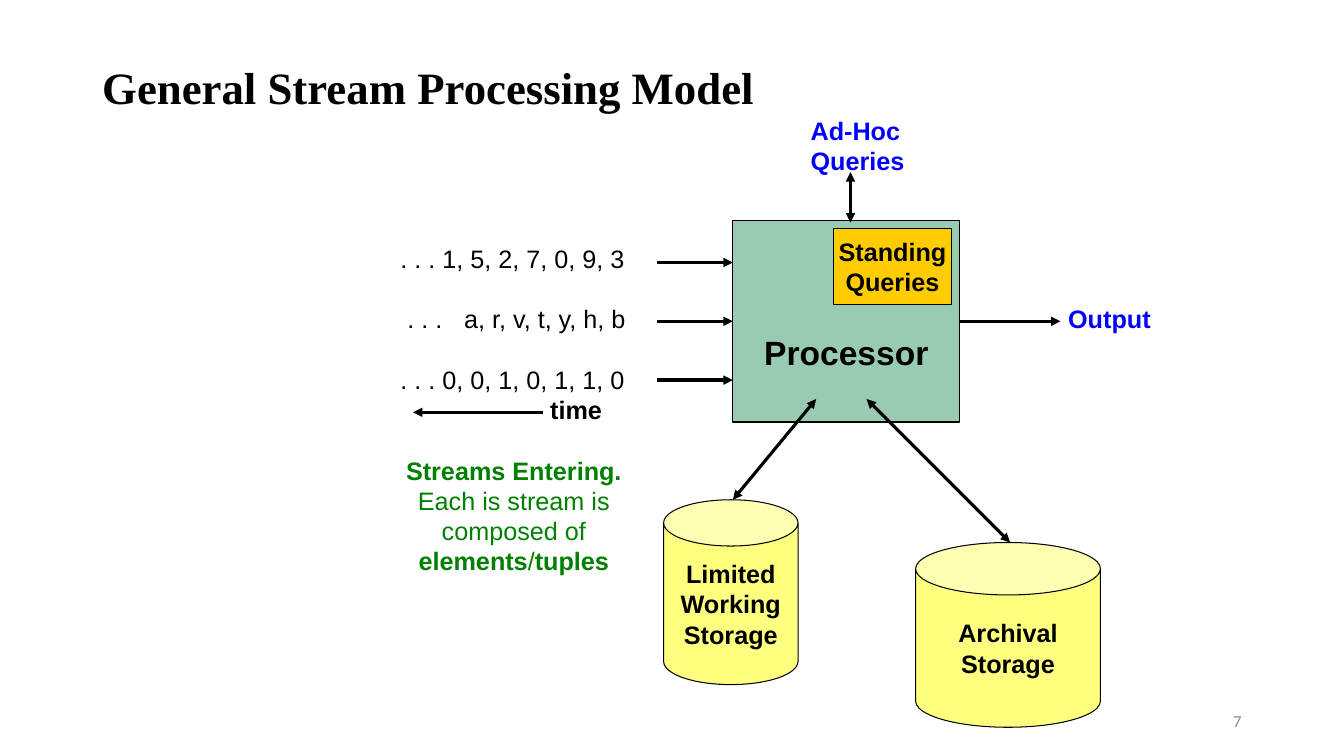
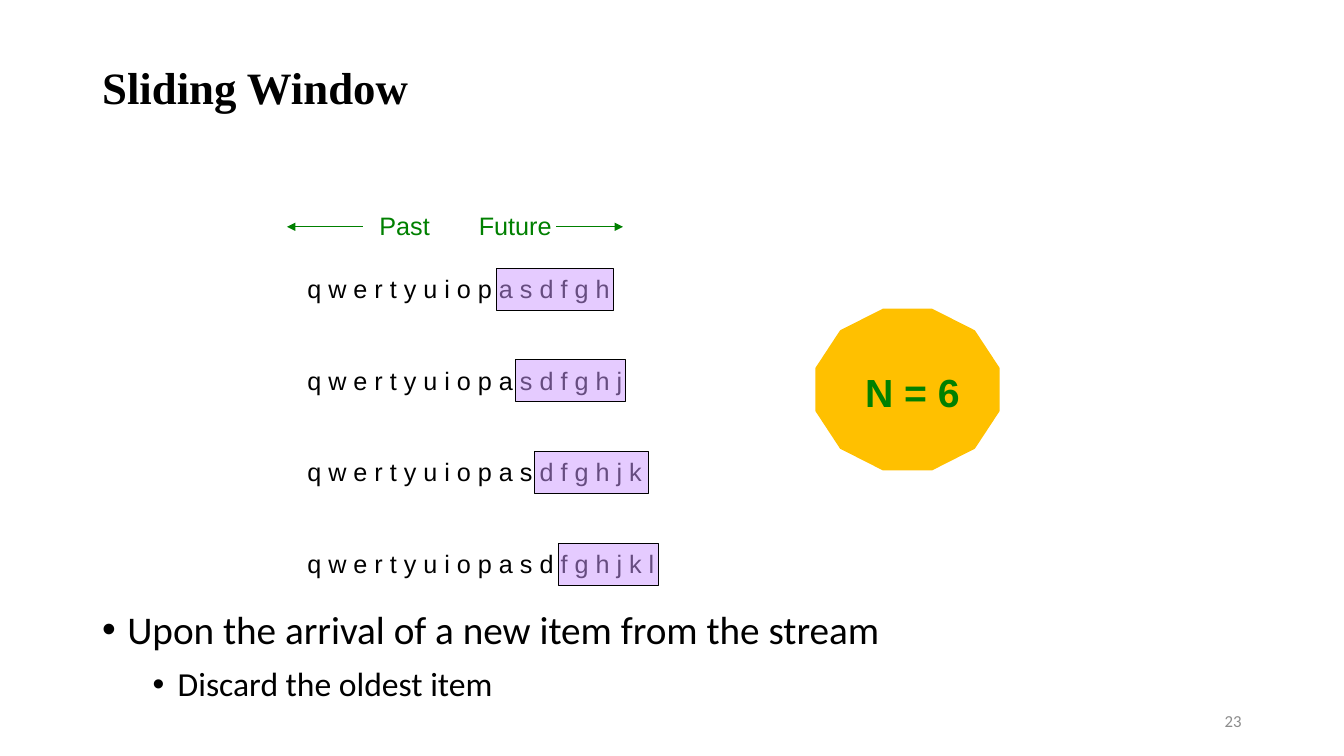
"""Build two slides on stream processing: the general model and the sliding window."""
from lxml.etree import SubElement
from pptx import Presentation
from pptx.dml.color import RGBColor
from pptx.enum.shapes import MSO_CONNECTOR, MSO_SHAPE
from pptx.enum.text import MSO_ANCHOR, PP_ALIGN
from pptx.oxml.ns import qn
from pptx.util import Pt

BLACK = RGBColor(0x00, 0x00, 0x00)
BLUE = RGBColor(0x00, 0x00, 0xFF)
GREEN = RGBColor(0x00, 0x80, 0x00)
TEAL = RGBColor(0x33, 0x99, 0x66)
YELLOW = RGBColor(0xFF, 0xFF, 0x00)
GOLD = RGBColor(0xFF, 0xCC, 0x00)
AMBER = RGBColor(0xFF, 0xC0, 0x00)
LILAC = RGBColor(0xCC, 0x99, 0xFF)
GRAY = RGBColor(0x8C, 0x8C, 0x8C)

STREAMS = [
    (286, ". . . 1, 5, 2, 7, 0, 9, 3"),
    (291, ". . .\ta, r, v, t, y, h, b"),
    (286, ". . . 0, 0, 1, 0, 1, 1, 0"),
]
STREAM_TOP, STREAM_STEP, STREAM_TAB = 173.5, 43.25, 40.5
STREAM_ARROW_STEP = 42
CAPTION = [
    [("Streams Entering.", True)],
    [("Each is stream is", False)],
    [("composed of", False)],
    [("elements", True), ("/", False), ("tuples", True)],
]
PROCESSOR = (523.5, 157.5, 162, 144)
STORAGES = [
    (["Limited", "Working", "Storage"], (474, 357, 96, 132), 0.344, (583, 285), (523.5, 357)),
    (["Archival", "Storage"], (654, 387.5, 132, 132), 0.284, (619, 285), (721.5, 387.5)),
]

LETTERS = "qwertyuiopasdfghjkl"
WINDOWS = [(355, 83), (368.5, 78), (381.5, 81.5), (399, 71.5)]
FIRST_LENGTH = 16
WINDOW_TOP, WINDOW_STEP, WINDOW_HEIGHT = 191.5, 65.6, 30
DIRECTIONS = [("Past", 271, 259, 205), ("Future", 342, 397.5, 445)]
BULLETS = [
    ("Upon the arrival of a new item from the stream", 28, 18, 0),
    ("Discard the oldest item", 24, 54, 5),
]


def write(shape, lines, size=18, color=BLACK, font="Arial", bold=False,
          align=PP_ALIGN.LEFT, anchor=MSO_ANCHOR.TOP, wrap=False):
    frame = shape.text_frame
    frame.word_wrap = wrap
    frame.vertical_anchor = anchor
    frame.margin_left = frame.margin_right = frame.margin_top = frame.margin_bottom = 0
    for index, line in enumerate(lines):
        paragraph = frame.paragraphs[0] if index == 0 else frame.add_paragraph()
        paragraph.alignment = align
        for text, run_bold in [(line, bold)] if isinstance(line, str) else line:
            run = paragraph.add_run()
            run.text = text
            run.font.size = Pt(size)
            run.font.name = font
            run.font.bold = run_bold
            run.font.color.rgb = color
    return frame


def add_text(slide, box, lines, **style):
    shape = slide.shapes.add_textbox(*map(Pt, box))
    return write(shape, lines, **style)


def add_box(slide, kind, box, fill, line=BLACK, width=0.75, opacity=None):
    shape = slide.shapes.add_shape(kind, *map(Pt, box))
    shape.shadow.inherit = False
    shape.fill.solid()
    shape.fill.fore_color.rgb = fill
    shape.line.color.rgb = line
    shape.line.width = Pt(width)
    if opacity:
        color = shape._element.spPr.find(qn("a:solidFill")).find(qn("a:srgbClr"))
        SubElement(color, qn("a:alpha"), val=str(opacity * 1000))
    return shape


def add_arrow(slide, start, end, color=BLACK, width=2.25, double=False):
    connector = slide.shapes.add_connector(MSO_CONNECTOR.STRAIGHT, *map(Pt, (*start, *end)))
    connector.line.color.rgb = color
    connector.line.width = Pt(width)
    outline = connector.line._get_or_add_ln()
    for tag in ["a:headEnd", "a:tailEnd"] if double else ["a:tailEnd"]:
        SubElement(outline, qn(tag), type="triangle")
    SubElement(connector._element.spPr, qn("a:effectLst"))
    return connector


def add_slide(presentation, title, number):
    slide = presentation.slides.add_slide(presentation.slide_layouts[6])
    frame = add_text(slide, (73, 29, 814, 70), [title], size=32, font="Times New Roman",
                     bold=True, anchor=MSO_ANCHOR.MIDDLE, wrap=True)
    frame.paragraphs[0].line_spacing = 0.9
    add_text(slide, (685, 500.5, 202, 29), [number], size=12, color=GRAY, font="Calibri",
             align=PP_ALIGN.RIGHT, anchor=MSO_ANCHOR.MIDDLE, wrap=True)
    return slide


def build_model(presentation):
    slide = add_slide(presentation, "General Stream Processing Model", "7")
    centered = dict(bold=True, align=PP_ALIGN.CENTER, anchor=MSO_ANCHOR.MIDDLE)
    left, top, width, height = PROCESSOR
    middle = top + height / 2

    processor = add_box(slide, MSO_SHAPE.RECTANGLE, PROCESSOR, TEAL, opacity=50)
    write(processor, ["Processor"], size=24, **centered).margin_top = Pt(44)
    standing = add_box(slide, MSO_SHAPE.RECTANGLE, (595.5, 163.5, 84, 54), GOLD)
    write(standing, ["Standing", "Queries"], **centered)

    for lines, box, depth, start, end in STORAGES:
        storage = add_box(slide, MSO_SHAPE.CAN, box, YELLOW, opacity=50)
        storage.adjustments[0] = depth
        write(storage, lines, **centered)
        add_arrow(slide, start, end, double=True)

    for index, (text_left, stream) in enumerate(STREAMS):
        text_top = STREAM_TOP + index * STREAM_STEP
        frame = add_text(slide, (text_left, text_top, 162, 21), [stream])
        if "\t" in stream:
            properties = frame.paragraphs[0]._p.get_or_add_pPr()
            tabs = SubElement(properties, qn("a:tabLst"))
            SubElement(tabs, qn("a:tab"), pos=str(Pt(STREAM_TAB)), algn="l")
        y = middle + (index - 1) * STREAM_ARROW_STEP
        arrow = add_arrow(slide, (left - 54, y), (left, y))
        if y == middle:
            arrow.end_connect(processor, 1)

    add_text(slide, (393, 281.5, 40, 21), ["time"], bold=True)
    add_arrow(slide, (388, 294.5), (295, 294.5))
    add_text(slide, (279, 325, 176, 87), CAPTION, color=GREEN, align=PP_ALIGN.CENTER)

    add_text(slide, (579, 82.5, 68, 43), ["Ad-Hoc", "Queries"], color=BLUE, bold=True)
    add_arrow(slide, (607.5, 123), (607.5, 159), double=True)
    add_text(slide, (763, 217, 60, 21), ["Output"], color=BLUE, bold=True)
    output = add_arrow(slide, (left + width, middle), (left + width + 72, middle))
    output.begin_connect(processor, 3)


def build_window(presentation):
    slide = add_slide(presentation, "Sliding Window", "23")
    for index, (left, width) in enumerate(WINDOWS):
        top = WINDOW_TOP + index * WINDOW_STEP
        letters = " ".join(LETTERS[:FIRST_LENGTH + index])
        add_text(slide, (219.5, top + 3.5, 250, 21), [letters])
        add_box(slide, MSO_SHAPE.RECTANGLE, (left, top, width, WINDOW_HEIGHT), LILAC, opacity=50)

    for label, left, start, end in DIRECTIONS:
        add_text(slide, (left, 150.5, 54, 21), [label], color=GREEN)
        add_arrow(slide, (start, 162), (end, 162), color=GREEN, width=0.75)

    size_badge = add_box(slide, MSO_SHAPE.DODECAGON, (583, 221, 130.5, 114.5), AMBER, AMBER, 1)
    frame = write(size_badge, ["N = 6"], size=28, color=GREEN, bold=True,
                  align=PP_ALIGN.CENTER, anchor=MSO_ANCHOR.MIDDLE)
    frame.margin_left, frame.margin_top = Pt(7), Pt(3)

    frame = add_text(slide, (73, 429, 770, 72), [text for text, *_ in BULLETS],
                     font="Calibri", wrap=True)
    for paragraph, (_, size, indent, space) in zip(frame.paragraphs, BULLETS):
        properties = paragraph._p.get_or_add_pPr()
        properties.set("marL", str(Pt(indent)))
        properties.set("indent", str(Pt(-18)))
        SubElement(properties, qn("a:buFont"), typeface="Arial")
        SubElement(properties, qn("a:buChar"), char="•")
        paragraph.level = 1 if space else 0
        paragraph.line_spacing = 1.1
        paragraph.space_before = Pt(space)
        paragraph.runs[0].font.size = Pt(size)


def main():
    presentation = Presentation()
    presentation.slide_width, presentation.slide_height = Pt(960), Pt(540)
    build_model(presentation)
    build_window(presentation)
    presentation.save("out.pptx")


if __name__ == "__main__":
    main()
